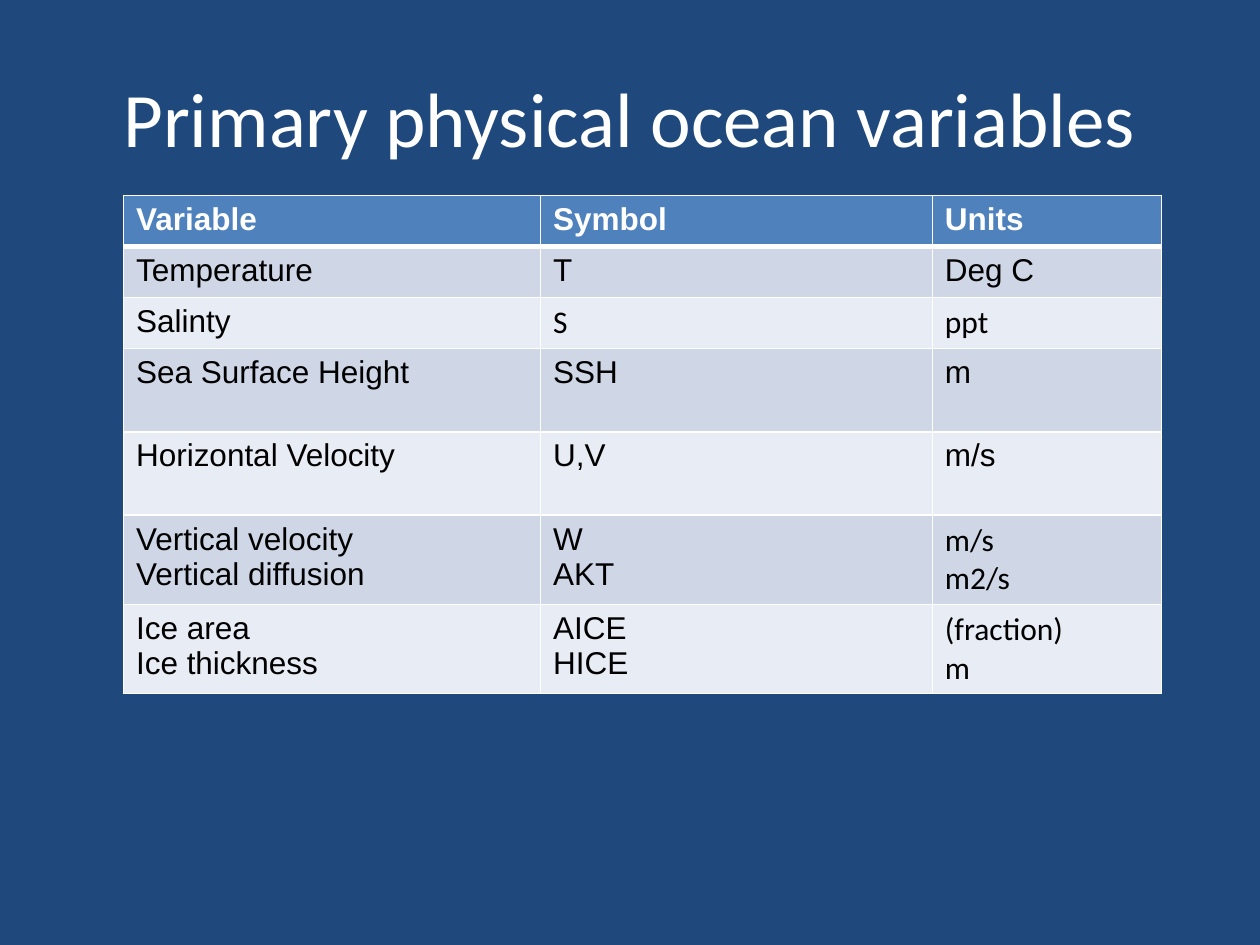
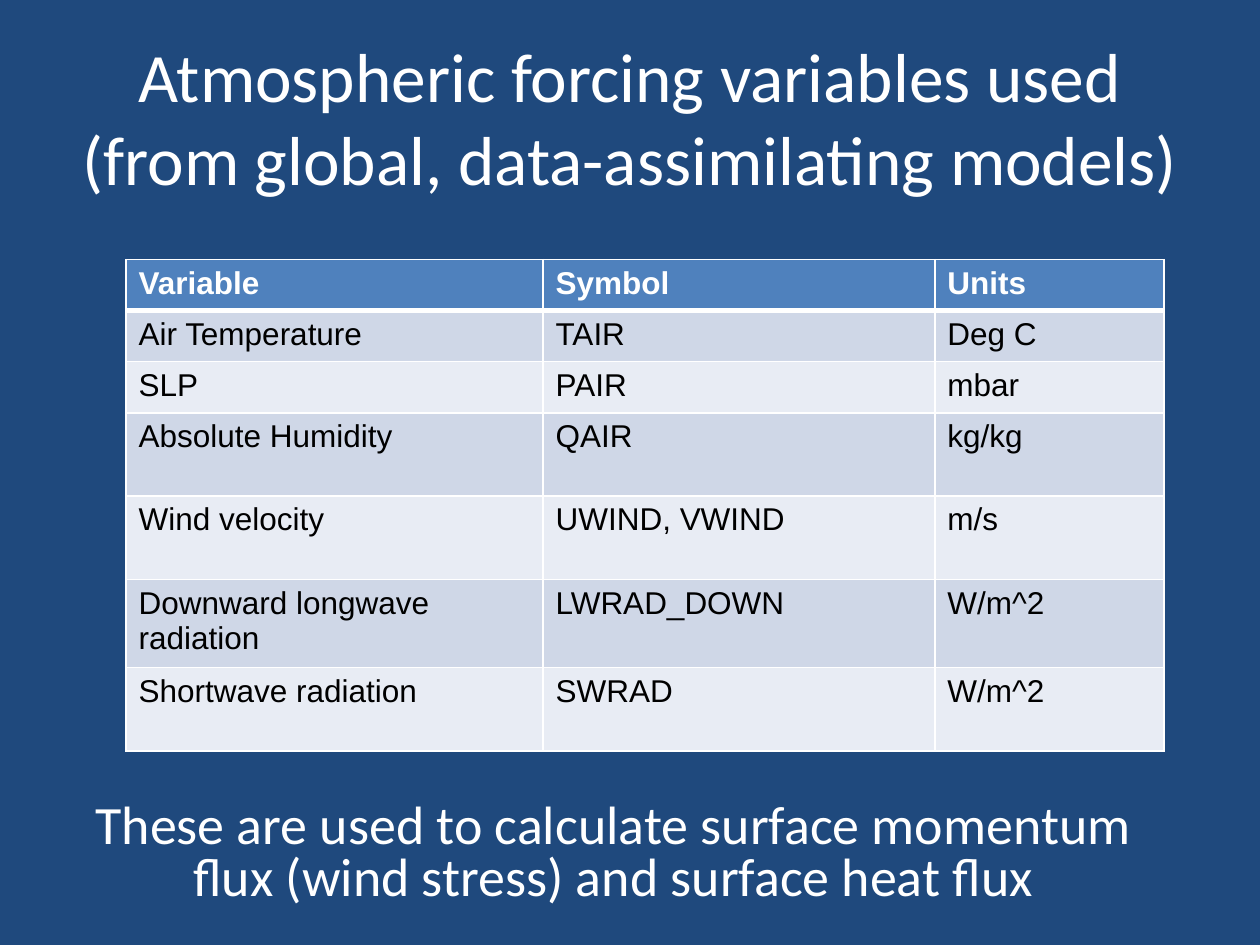
"""Build two slides that tabulate ocean and atmospheric model variables."""
from lxml import etree
from pptx import Presentation
from pptx.dml.color import RGBColor
from pptx.enum.text import MSO_ANCHOR, PP_ALIGN
from pptx.oxml.ns import qn
from pptx.util import Pt

CENTER = PP_ALIGN.CENTER
LEFT = PP_ALIGN.LEFT
MIDDLE = MSO_ANCHOR.MIDDLE

NAVY = RGBColor(0x1F, 0x49, 0x7D)
HEADER_BLUE = RGBColor(0x4F, 0x81, 0xBD)
BAND_DARK = RGBColor(0xCF, 0xD7, 0xE7)
BAND_LIGHT = RGBColor(0xE8, 0xEC, 0xF4)
WHITE = RGBColor(0xFF, 0xFF, 0xFF)
BLACK = RGBColor(0x00, 0x00, 0x00)

HEADING_FONT = "Calibri"
TABLE_FONT = "Arial"
HEADER_FORMAT = {"name": TABLE_FONT, "size": Pt(18), "bold": True}
BODY_FORMAT = {"name": TABLE_FONT, "size": Pt(18), "bold": False}

TITLE_BOX = (36, 21.6, 648, 90)
NOTE_BOX = (26.64, 443.52, 648, 90)
COLUMN_WIDTHS = (238.32, 223.92, 131.04)
SHORT_ROW, TALL_ROW, CALIBRI_ROW = 29.2, 47.6, 51
HEADER = ("Variable", "Symbol", "Units")

OCEAN_ROWS = (
    ("Temperature", "T", "Deg C"),
    ("Salinty", "S", "ppt"),
    ("Sea Surface Height", "SSH", "m"),
    ("Horizontal Velocity", "U,V", "m/s"),
    ("Vertical velocity\nVertical diffusion", "W\nAKT", "m/s\nm2/s"),
    ("Ice area\nIce thickness", "AICE\nHICE", "(fraction)\nm"),
)
OCEAN_HEIGHTS = (SHORT_ROW,) * 3 + (TALL_ROW,) * 2 + (CALIBRI_ROW,) * 2
OCEAN_CALIBRI_CELLS = {(2, 1), (2, 2), (5, 2), (6, 2)}

FORCING_ROWS = (
    ("Air Temperature", "TAIR", "Deg C"),
    ("SLP", "PAIR", "mbar"),
    ("Absolute Humidity", "QAIR", "kg/kg"),
    ("Wind velocity", "UWIND, VWIND", "m/s"),
    ("Downward longwave radiation", "LWRAD_DOWN", "W/m^2"),
    ("Shortwave radiation", "SWRAD", "W/m^2"),
)
FORCING_HEIGHTS = (SHORT_ROW,) * 3 + (TALL_ROW,) * 4


def style_paragraph(para, font_format, color, alignment=LEFT):
    """Apply a font format, colour and alignment to every span of a paragraph."""
    para.alignment = alignment
    for span in para.runs:
        for name, value in font_format.items():
            setattr(span.font, name, value)
        span.font.color.rgb = color


def add_heading(page, box, text, size, line_spacing=1.0):
    """Add centred white text in the middle of the given box."""
    frame = page.shapes.add_textbox(*map(Pt, box)).text_frame
    frame.word_wrap = True
    frame.vertical_anchor = MIDDLE
    frame.text = text
    para = frame.paragraphs[0]
    para.line_spacing = line_spacing
    style_paragraph(para, {"name": HEADING_FONT, "size": Pt(size)}, WHITE, CENTER)


def set_borders(cell, widths):
    """Draw white borders on a cell from a dict of side tags and widths."""
    properties = cell._tc.get_or_add_tcPr()
    for position, (tag, width) in enumerate(widths.items()):
        line = etree.Element(qn(f"a:{tag}"), w=str(Pt(width)))
        fill = etree.SubElement(line, qn("a:solidFill"))
        etree.SubElement(fill, qn("a:srgbClr"), val=str(WHITE))
        properties.insert(position, line)


def add_variable_table(page, left, top, body, heights, calibri_cells=()):
    """Add a banded table of variables with its corner at left and top."""
    rows = (HEADER, *body)
    table = page.shapes.add_table(
        len(rows), len(HEADER), Pt(left), Pt(top),
        Pt(sum(COLUMN_WIDTHS)), Pt(sum(heights))).table
    for column, width in zip(table.columns, COLUMN_WIDTHS):
        column.width = Pt(width)
    for row_index, (texts, height) in enumerate(zip(rows, heights)):
        table.rows[row_index].height = Pt(height)
        is_header = row_index == 0
        band = BAND_DARK if row_index % 2 else BAND_LIGHT
        borders = {"lnL": 1, "lnR": 1, "lnT": 3 if row_index == 1 else 1,
                   "lnB": 3 if is_header else 1}
        for column_index, text in enumerate(texts):
            cell = table.cell(row_index, column_index)
            cell.text = text
            cell.fill.solid()
            cell.fill.fore_color.rgb = HEADER_BLUE if is_header else band
            set_borders(cell, borders)
            font_format = dict(HEADER_FORMAT if is_header else BODY_FORMAT)
            if (row_index, column_index) in calibri_cells:
                font_format["name"] = HEADING_FONT
            for para in cell.text_frame.paragraphs:
                style_paragraph(para, font_format, WHITE if is_header else BLACK)


def add_ocean_slide(deck, layout):
    """Add the slide of ocean variables."""
    page = deck.slides.add_slide(layout)
    add_heading(page, TITLE_BOX, "Primary physical ocean variables", 44)
    add_variable_table(page, 70.56, 111.6, OCEAN_ROWS, OCEAN_HEIGHTS,
                       OCEAN_CALIBRI_CELLS)


def add_forcing_slide(deck, layout):
    """Add the slide of atmospheric forcing variables and its closing note."""
    page = deck.slides.add_slide(layout)
    add_heading(page, TITLE_BOX,
                "Atmospheric forcing variables used "
                "(from global, data-assimilating models)", 39.6)
    add_variable_table(page, 72, 148.32, FORCING_ROWS, FORCING_HEIGHTS)
    add_heading(page, NOTE_BOX,
                "These are used to calculate surface momentum flux "
                "(wind stress) and surface heat flux", 30.8, 0.8)


def main():
    """Build and save the deck."""
    deck = Presentation()
    deck.slide_width, deck.slide_height = Pt(720), Pt(540)
    background = deck.slide_master.background.fill
    background.solid()
    background.fore_color.rgb = NAVY
    layout = deck.slide_layouts[6]
    add_ocean_slide(deck, layout)
    add_forcing_slide(deck, layout)
    deck.save("out.pptx")


if __name__ == "__main__":
    main()
